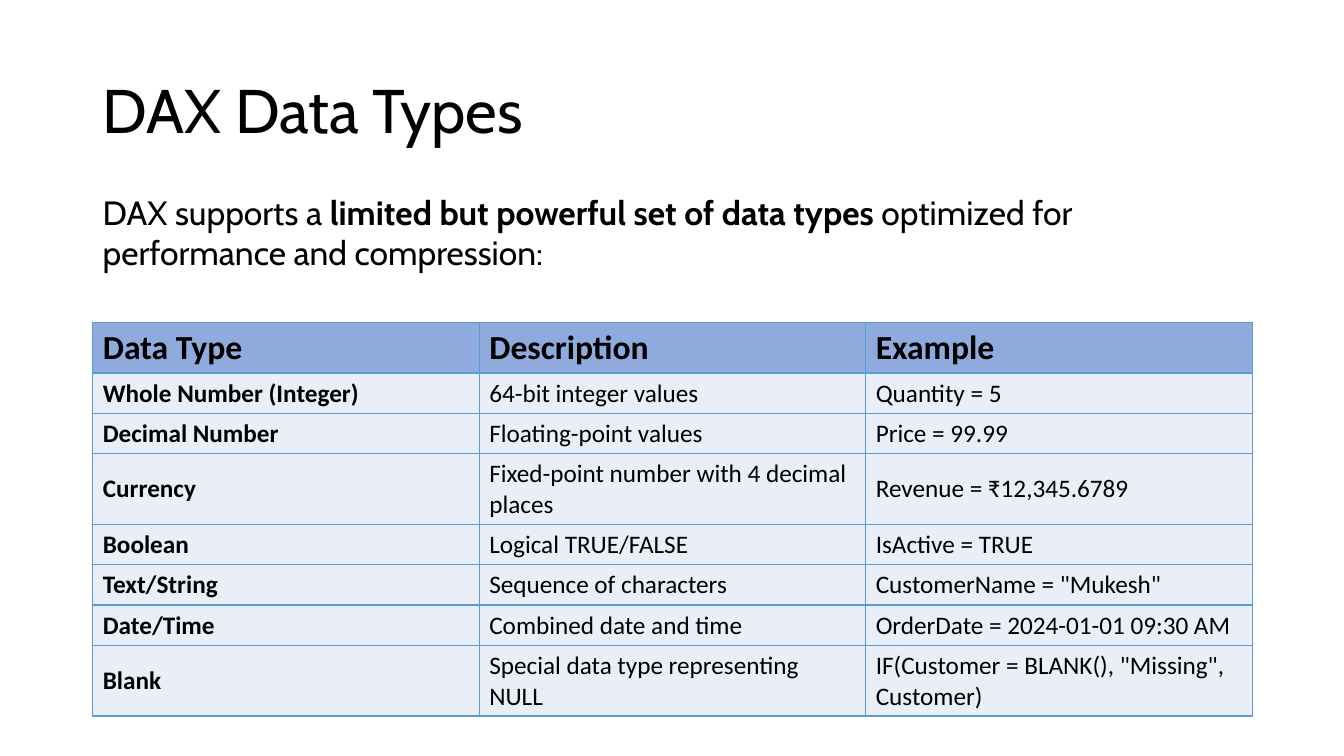
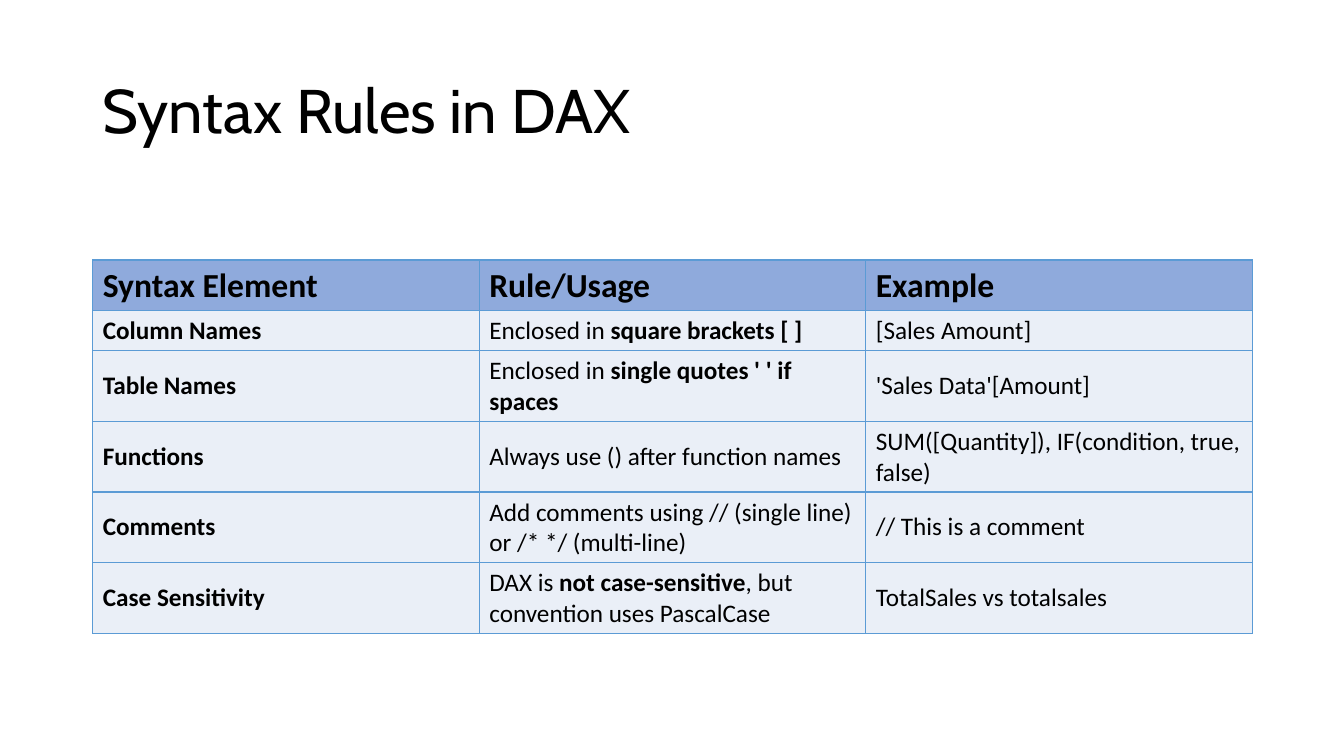
from lxml import etree
from pptx import Presentation
from pptx import util as u
from pptx.dml.color import RGBColor
from pptx.enum import text
from pptx.oxml.ns import qn

COLORS = {
    "ink": "000000",
    "header": "8FAADC",
    "body": "EAEFF7",
    "border": "5B9BD5",
}
HEADING_FONT = "Cabin"
TABLE_FONT = "Calibri"

# Boxes are left, top, width, height in inches
LEFT, WIDTH = 0.92, 11.5
TITLE_BOX = (LEFT, 0.4, WIDTH, 1.45)
INTRO_BOX = (LEFT, 1.85, 11.14, 0.91)
HEADER_HEIGHT, ROW_HEIGHT = 0.5, 0.4  # rows grow when their text wraps

DATA_TYPES = [
    ("Data Type", "Description", "Example"),
    ("Whole Number (Integer)", "64-bit integer values", "Quantity = 5"),
    ("Decimal Number", "Floating-point values", "Price = 99.99"),
    ("Currency", "Fixed-point number with 4 decimal places", "Revenue = ₹12,345.6789"),
    ("Boolean", "Logical TRUE/FALSE", "IsActive = TRUE"),
    ("Text/String", "Sequence of characters", 'CustomerName = "Mukesh"'),
    ("Date/Time", "Combined date and time", "OrderDate = 2024-01-01 09:30 AM"),
    ("Blank", "Special data type representing NULL",
     'IF(Customer = BLANK(), "Missing", Customer)'),
]

SYNTAX_RULES = [
    ("Syntax Element", "Rule/Usage", "Example"),
    ("Column Names", "Enclosed in **square brackets [ ]**", "[Sales Amount]"),
    ("Table Names", "Enclosed in **single quotes ' ' if spaces**", "'Sales Data'[Amount]"),
    ("Functions", "Always use () after function names",
     "SUM([Quantity]), IF(condition, true, false)"),
    ("Comments", "Add comments using // (single line) or /* */ (multi-line)",
     "// This is a comment"),
    ("Case Sensitivity", "DAX is **not case-sensitive**, but convention uses PascalCase",
     "TotalSales vs totalsales"),
]


def write_text(frame, wording, font, size, bold=False):
    """Fill the first paragraph; wording between ** marks is bold."""
    para = frame.paragraphs[0]
    for index, part in enumerate(wording.split("**")):
        if part:
            span = para.add_run()
            span.text = part
            span.font.name = font
            span.font.size = u.Pt(size)
            span.font.bold = bold or index % 2 == 1
            span.font.color.rgb = RGBColor.from_string(COLORS["ink"])
    return para


def add_text(page, box, wording, size, anchor=text.MSO_ANCHOR.TOP):
    frame = page.shapes.add_textbox(*map(u.Inches, box)).text_frame
    frame.word_wrap = True
    frame.vertical_anchor = anchor
    return write_text(frame, wording, HEADING_FONT, size)


def add_title(page, wording):
    para = add_text(page, TITLE_BOX, wording, 44, text.MSO_ANCHOR.MIDDLE)
    para.line_spacing = 0.9


def add_borders(cell):
    properties = cell._tc.get_or_add_tcPr()
    for index, side in enumerate(("lnL", "lnR", "lnT", "lnB")):
        line = etree.Element(qn(f"a:{side}"), w=str(u.Pt(1)))
        fill = etree.SubElement(line, qn("a:solidFill"))
        etree.SubElement(fill, qn("a:srgbClr"), val=COLORS["border"])
        properties.insert(index, line)


def add_grid(page, left, top, width, rows):
    """Table with a header row, a bold first column and equal columns."""
    height = HEADER_HEIGHT + ROW_HEIGHT * (len(rows) - 1)
    table = page.shapes.add_table(
        len(rows), len(rows[0]), *map(u.Inches, (left, top, width, height))
    ).table
    table.horz_banding = False
    for row_index, row in enumerate(rows):
        is_header = row_index == 0
        table.rows[row_index].height = u.Inches(HEADER_HEIGHT if is_header else ROW_HEIGHT)
        for column_index, wording in enumerate(row):
            cell = table.cell(row_index, column_index)
            cell.vertical_anchor = text.MSO_ANCHOR.MIDDLE
            cell.fill.solid()
            cell.fill.fore_color.rgb = RGBColor.from_string(
                COLORS["header" if is_header else "body"])
            add_borders(cell)
            write_text(cell.text_frame, wording, TABLE_FONT,
                       24 if is_header else 18, is_header or column_index == 0)


def add_table_slide(deck, title, table_top, rows, intro=None):
    page = deck.slides.add_slide(deck.slide_layouts[6])
    add_title(page, title)
    add_grid(page, LEFT, table_top, WIDTH, rows)
    if intro:
        add_text(page, INTRO_BOX, intro, 24)


def main():
    deck = Presentation()
    deck.slide_width, deck.slide_height = u.Inches(13.33), u.Inches(7.5)
    add_table_slide(
        deck, "DAX Data Types", 3.2, DATA_TYPES,
        "DAX supports a **limited but powerful set of data types** "
        "optimized for performance and compression:")
    add_table_slide(deck, "Syntax Rules in DAX", 2.58, SYNTAX_RULES)
    deck.save("out.pptx")


if __name__ == "__main__":
    main()
